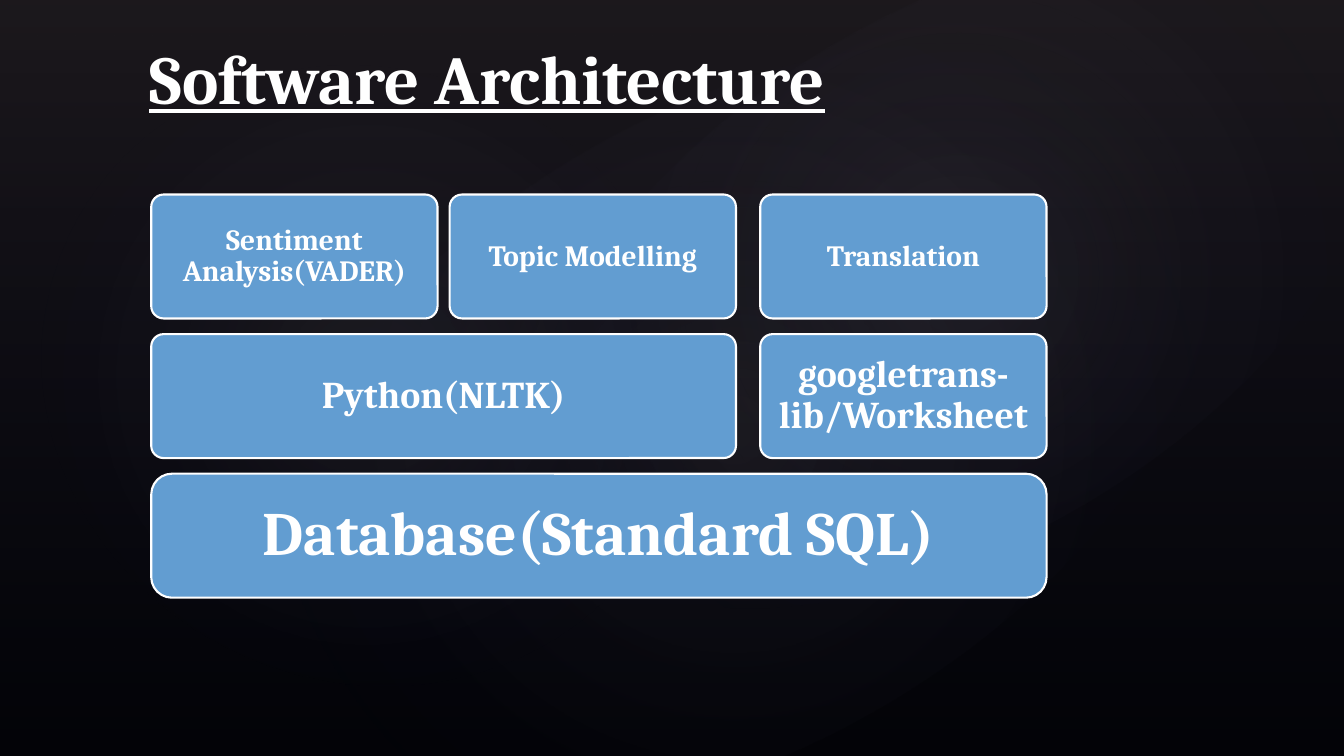
"""Build a slide of a software stack drawn as three tiers of blocks."""
import pptx
import pptx.util
import pptx.oxml
import pptx.dml.color
import pptx.enum.shapes
import pptx.enum.text
from dataclasses import dataclass

Inches = pptx.util.Inches
Pt = pptx.util.Pt
Kind = pptx.enum.shapes.MSO_SHAPE
Align = pptx.enum.text.PP_ALIGN
Anchor = pptx.enum.text.MSO_ANCHOR

TITLE = "Software Architecture"
# (text, first column, last column)
TIERS = [
    [("Sentiment Analysis(VADER)", 0, 0), ("Topic Modelling", 1, 1), ("Translation", 2, 2)],
    [("Python(NLTK)", 0, 1), ("googletrans-lib/Worksheet", 2, 2)],
    [("Database(Standard SQL)", 0, 2)],
]
GLOWS = [
    ((2, 1.14, 10.56, 6.24), 328.7, 7),
    ((0.61, 0.46, 6.06, 6.53), 294.3, 8),
    ((4.78, 0.13, 9.45, 5.2), 328.7, 8),
]
SIZE = (13.33, 7.5)
COLS = (1.5, 4.46, 7.54)
TOP, PITCH, WIDE, HIGH = 1.93, 1.385, 2.84, 1.23


@dataclass(frozen=True)
class Theme:
    """Hold the colours, font and type sizes."""
    font: str = "Cambria"
    back: str = "000000"
    haze: str = "504652"
    glow: str = "C4BCC6"
    deep: str = "242852"
    block: str = "629DD1"
    white: str = "FFFFFF"
    title: int = 49
    tiers: tuple = (21, 27, 44)
    pads: tuple = (0.09, 0.11, 0.18)
    bends: tuple = (0.1, 0.1, 0.1667)


LOOK = Theme()


def paint(fill, tone):
    """Give a fill one solid colour."""
    fill.solid()
    fill.fore_color.rgb = pptx.dml.color.RGBColor.from_string(tone)


def style(frame, size):
    """Format every run of a text frame."""
    for para in frame.paragraphs:
        for run in para.runs:
            run.font.name = LOOK.font
            run.font.size = Pt(size)
            run.font.bold = True
            paint(run.font.fill, LOOK.white)


def add_shape(slide, kind, box):
    """Add a preset shape without a shadow."""
    shape = slide.shapes.add_shape(kind, *map(Inches, box))
    shape.shadow.inherit = False
    return shape


def blend(shape, stops, way):
    """Fill a shape with a see-through gradient and no outline."""
    shape.line.fill.background()
    shape.fill.background()
    marks = "".join(
        f'<a:gs pos="{pos * 1000}"><a:srgbClr val="{tone}">'
        f'<a:alpha val="{alpha * 1000}"/></a:srgbClr></a:gs>'
        for pos, tone, alpha in stops)
    grad = pptx.oxml.parse_xml(
        '<a:gradFill xmlns:a="http://schemas.openxmlformats.org/drawingml/2006/main"'
        f' rotWithShape="1"><a:gsLst>{marks}</a:gsLst>{way}</a:gradFill>')
    props = shape.element.spPr
    props.replace(props.find(pptx.oxml.ns.qn("a:noFill")), grad)


def add_back(slide):
    """Draw the dark backdrop and its soft glows."""
    paint(slide.background.fill, LOOK.back)
    haze = add_shape(slide, Kind.RECTANGLE, (0, 0, *SIZE))
    blend(haze, [(0, LOOK.haze, 36), (100, LOOK.deep, 10)],
          '<a:lin ang="5400000" scaled="0"/>')
    for box, turn, alpha in GLOWS:
        glow = add_shape(slide, Kind.OVAL, box)
        glow.rotation = turn
        blend(glow, [(0, LOOK.glow, alpha), (58, LOOK.deep, 0)],
              '<a:path path="circle"><a:fillToRect l="50000" t="50000"'
              ' r="50000" b="50000"/></a:path>')


def add_block(slide, row, text, first, last):
    """Draw one block across its columns."""
    span = COLS[last] + WIDE - COLS[first]
    block = add_shape(slide, Kind.ROUNDED_RECTANGLE,
                      (COLS[first], TOP + row * PITCH, span, HIGH))
    block.adjustments[0] = LOOK.bends[row]
    paint(block.fill, LOOK.block)
    paint(block.line.fill, LOOK.white)
    block.line.width = Pt(1.5)
    frame = block.text_frame
    frame.text = text
    frame.word_wrap = True
    frame.vertical_anchor = Anchor.MIDDLE
    pad = Inches(LOOK.pads[row])
    frame.margin_left = frame.margin_right = pad
    frame.margin_top = frame.margin_bottom = pad
    frame.paragraphs[0].alignment = Align.CENTER
    frame.paragraphs[0].line_spacing = 0.9
    style(frame, LOOK.tiers[row])


def add_title(slide):
    """Fill the title and bring it to the front."""
    title = slide.shapes.title
    title.left, title.top, title.width, title.height = map(Inches, (1.38, 0.22, 11, 1))
    frame = title.text_frame
    frame.text = TITLE
    frame.auto_size = pptx.enum.text.MSO_AUTO_SIZE.NONE
    frame.vertical_anchor = Anchor.BOTTOM
    frame.paragraphs[0].alignment = Align.LEFT
    style(frame, LOOK.title)
    frame.paragraphs[0].runs[0].font.underline = True
    slide.shapes.element.append(title.element)


def main():
    """Build and save the deck."""
    deck = pptx.Presentation()
    deck.slide_width, deck.slide_height = map(Inches, SIZE)
    slide = deck.slides.add_slide(deck.slide_layouts[5])
    add_back(slide)
    for row, tier in enumerate(TIERS):
        for text, first, last in tier:
            add_block(slide, row, text, first, last)
    add_title(slide)
    deck.save("out.pptx")


if __name__ == "__main__":
    main()
